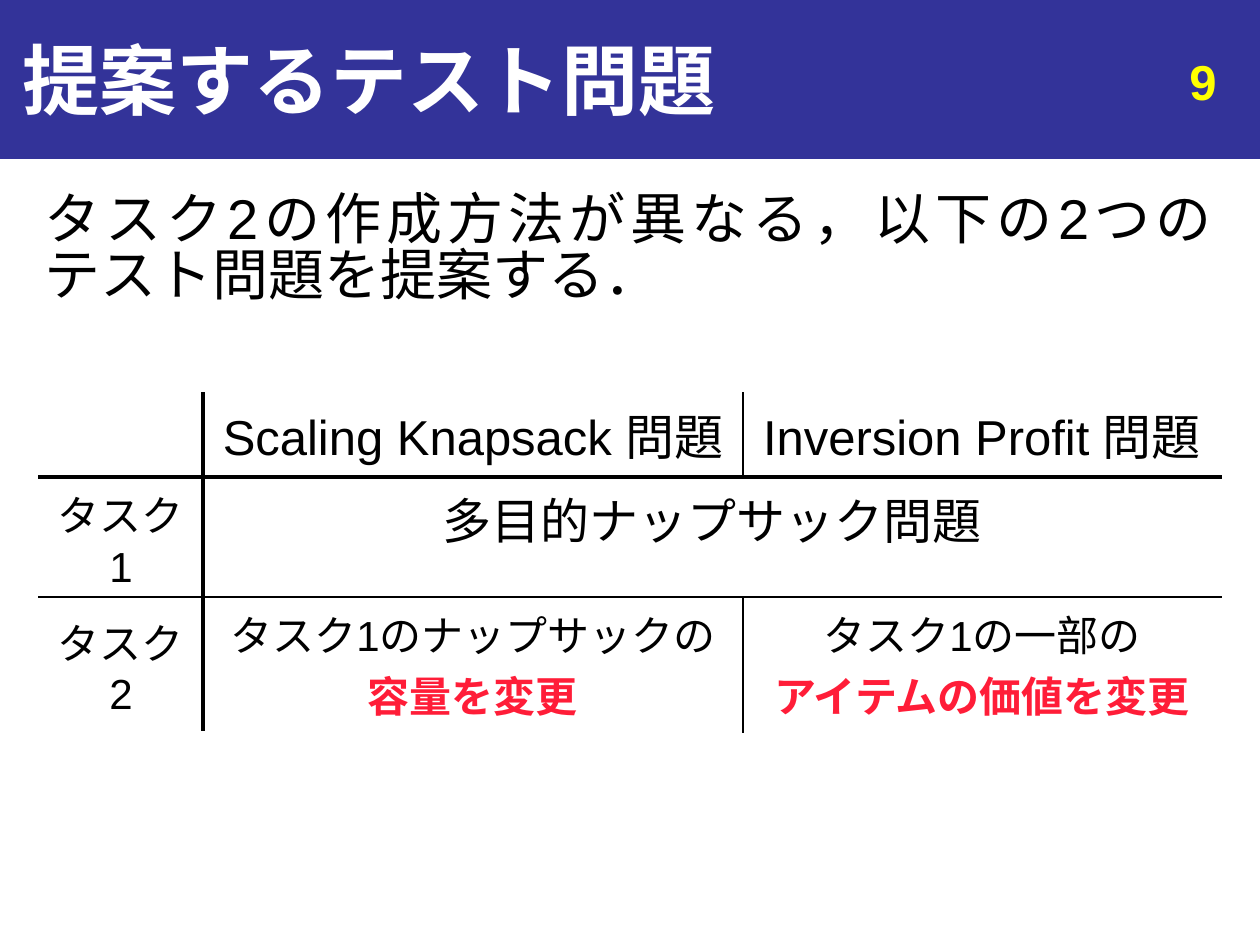
"""Build the slide that proposes two test problems."""
from lxml import etree
from pptx import Presentation, util as u
from pptx.dml.color import RGBColor
from pptx.enum import shapes, text
from pptx.oxml.ns import qn

BLUE = RGBColor(0x33, 0x33, 0x99)
WHITE = RGBColor(0xFF, 0xFF, 0xFF)
BLACK = RGBColor(0, 0, 0)
YELLOW = RGBColor(0xFF, 0xFF, 0)
RED = RGBColor(0xFF, 0x1D, 0x38)

CENTER = text.PP_ALIGN.CENTER
MIDDLE = text.MSO_ANCHOR.MIDDLE
TOP = text.MSO_ANCHOR.TOP

BANNER = (0, 0, 1260, 158)
TEXTS = [
    ((10, 0, 1250, 158), [("提案するテスト問題", WHITE, True)], 44, MIDDLE,
     {"alignment": text.PP_ALIGN.LEFT}),
    ((32, 189, 1197, 714),
     [("タスク2の作成方法が異なる，以下の2つの", BLACK, False),
      ("テスト問題を提案する．", BLACK, False)], 32, TOP,
     {"alignment": text.PP_ALIGN.JUSTIFY, "line_spacing": 0.83, "space_before": u.Pt(2)}),
    ((935, 45, 294, 66), [("9", YELLOW, True)], 28, TOP,
     {"alignment": text.PP_ALIGN.RIGHT}),
]

TABLE_AT = (39, 393)
COLUMNS = [164, 540, 478]
ROWS = [84, 120, 135]
CELLS = {
    (0, 1): ([("Scaling Knapsack 問題", BLACK, False)], 28),
    (0, 2): ([("Inversion Profit 問題", BLACK, False)], 28),
    (1, 0): ([("タスク1", BLACK, False)], 24),
    (1, 1): ([("多目的ナップサック問題", BLACK, False)], 28),
    (2, 0): ([("タスク2", BLACK, False)], 24),
    (2, 1): ([("タスク1のナップサックの", BLACK, False), ("容量を変更", RED, True)], 24),
    (2, 2): ([("タスク1の一部の", BLACK, False), ("アイテムの価値を変更", RED, True)], 24),
}
RULES = [(WHITE, 1), (BLACK, 2.25), (BLACK, 1), (WHITE, 1)]


def px(length):
    return u.Emu(length * 914400 // 126)


def write(frame, lines, size, formats):
    paragraph = frame.paragraphs[0]
    for name, value in formats.items():
        setattr(paragraph, name, value)
    for index, (words, color, bold) in enumerate(lines):
        if index:
            paragraph.add_line_break()
        run = paragraph.add_run()
        run.text = words
        for name, value in {"name": "Arial", "size": u.Pt(size), "bold": bold}.items():
            setattr(run.font, name, value)
        run.font.color.rgb = color


def draw_border(cell, side, color, width):
    properties = cell._tc.get_or_add_tcPr()
    line = etree.SubElement(properties, qn(f"a:ln{side}"), w=str(u.Pt(width)))
    fill = etree.SubElement(line, qn("a:solidFill"))
    etree.SubElement(fill, qn("a:srgbClr"), val=str(color))


deck = Presentation()
deck.slide_width, deck.slide_height = px(1260), px(945)
slide = deck.slides.add_slide(deck.slide_layouts[6])

banner = slide.shapes.add_shape(shapes.MSO_SHAPE.RECTANGLE, *map(px, BANNER))
banner.shadow.inherit = False
banner.fill.solid()
banner.fill.fore_color.rgb = banner.line.color.rgb = BLUE
banner.line.width = u.Pt(0.75)

for place, lines, size, anchor, formats in TEXTS:
    frame = slide.shapes.add_textbox(*map(px, place)).text_frame
    frame.word_wrap = True
    frame.vertical_anchor = anchor
    write(frame, lines, size, formats)

comparison = slide.shapes.add_table(
    len(ROWS), len(COLUMNS), *map(px, TABLE_AT + (sum(COLUMNS), sum(ROWS)))).table
comparison.first_row = comparison.horz_banding = False
for column, width in zip(comparison.columns, COLUMNS):
    column.width = px(width)
for row, height in zip(comparison.rows, ROWS):
    row.height = px(height)
comparison.cell(1, 1).merge(comparison.cell(1, 2))

for r in range(len(ROWS)):
    for c in range(len(COLUMNS)):
        cell = comparison.cell(r, c)
        right = 3 if cell.is_merge_origin else c + 1
        for side, rule in zip("LRTB", (c, right, r, r + 1)):
            draw_border(cell, side, *RULES[rule])
        cell.fill.background()
        cell.vertical_anchor = MIDDLE if r and not c else TOP
        if (r, c) in CELLS:
            write(cell.text_frame, *CELLS[r, c], {"alignment": CENTER})

deck.save("out.pptx")
